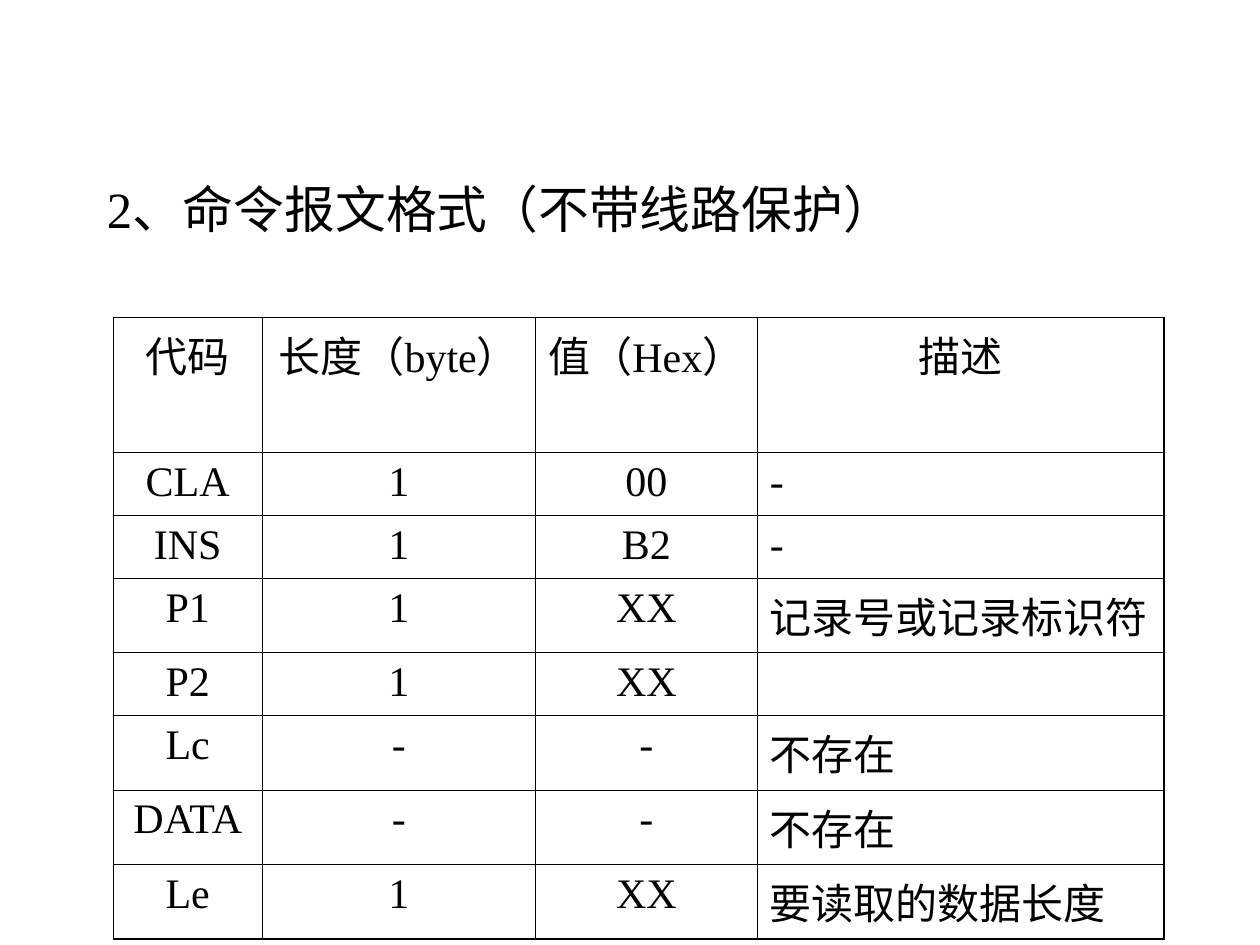
from lxml.etree import SubElement
from pptx import Presentation
from pptx.dml.color import RGBColor
from pptx.enum.text import PP_ALIGN
from pptx.oxml.ns import qn
from pptx.util import Inches, Pt

INK = "000000"
THIN, THICK = Pt(0.45), Pt(1.08)


def set_font(paragraph, size, color=INK):
    paragraph.font.name = "Times New Roman"
    paragraph.font.size = Pt(size)
    paragraph.font.color.rgb = RGBColor.from_string(color)


def add_border(cell, side, width, color=INK):
    properties = cell._tc.get_or_add_tcPr()
    line = SubElement(properties, qn(f"a:ln{side}"), w=str(int(width)))
    fill = SubElement(line, qn("a:solidFill"))
    SubElement(fill, qn("a:srgbClr"), val=color)


presentation = Presentation()
presentation.slide_width, presentation.slide_height = Inches(10), Inches(7.5)
slide = presentation.slides.add_slide(presentation.slide_layouts[6])

# Grid of 100 columns and 75 rows
column = presentation.slide_width // 100
row = presentation.slide_height // 75

# Heading
heading = slide.shapes.add_textbox(
    int(7.5 * column), int(14.2 * row), int(69.3 * column), int(7.9 * row))
heading.text_frame.word_wrap = True
paragraph = heading.text_frame.paragraphs[0]
paragraph.text = "2、命令报文格式（不带线路保护）"
paragraph.line_spacing = 0.9
set_font(paragraph, 29)

# Command message table
fields = [
    ("代码", "长度（byte）", "值（Hex）", "描述"),
    ("CLA", "1", "00", "-"),
    ("INS", "1", "B2", "-"),
    ("P1", "1", "XX", "记录号或记录标识符"),
    ("P2", "1", "XX", ""),
    ("Lc", "-", "-", "不存在"),
    ("DATA", "-", "-", "不存在"),
    ("Le", "1", "XX", "要读取的数据长度"),
]
widths = [11.8, 21.7, 17.6, 32.3]
heights = [10.7, 4.7, 4.7, 5.9, 4.7, 5.9, 5.9, 5.9]
last_row, last_column = len(heights) - 1, len(widths) - 1

table = slide.shapes.add_table(
    len(heights), len(widths), 9 * column, int(25.2 * row),
    int(sum(widths) * column), int(sum(heights) * row)).table
table.first_row = table.horz_banding = False
for index, width in enumerate(widths):
    table.columns[index].width = int(width * column)
for index, height in enumerate(heights):
    table.rows[index].height = int(height * row)

for row_index, texts in enumerate(fields):
    for column_index, text in enumerate(texts):
        cell = table.cell(row_index, column_index)
        cell.text = text
        paragraph = cell.text_frame.paragraphs[0]
        is_description = row_index > 0 and column_index == last_column
        paragraph.alignment = PP_ALIGN.LEFT if is_description else PP_ALIGN.CENTER
        set_font(paragraph, 24)

        # Thick outer frame, thin inner rules
        outer_sides = {
            "L": column_index == 0,
            "R": column_index == last_column,
            "T": row_index == 0,
            "B": row_index == last_row,
        }
        for side, is_outer in outer_sides.items():
            add_border(cell, side, THICK if is_outer else THIN)
        cell.fill.background()

presentation.save("out.pptx")
